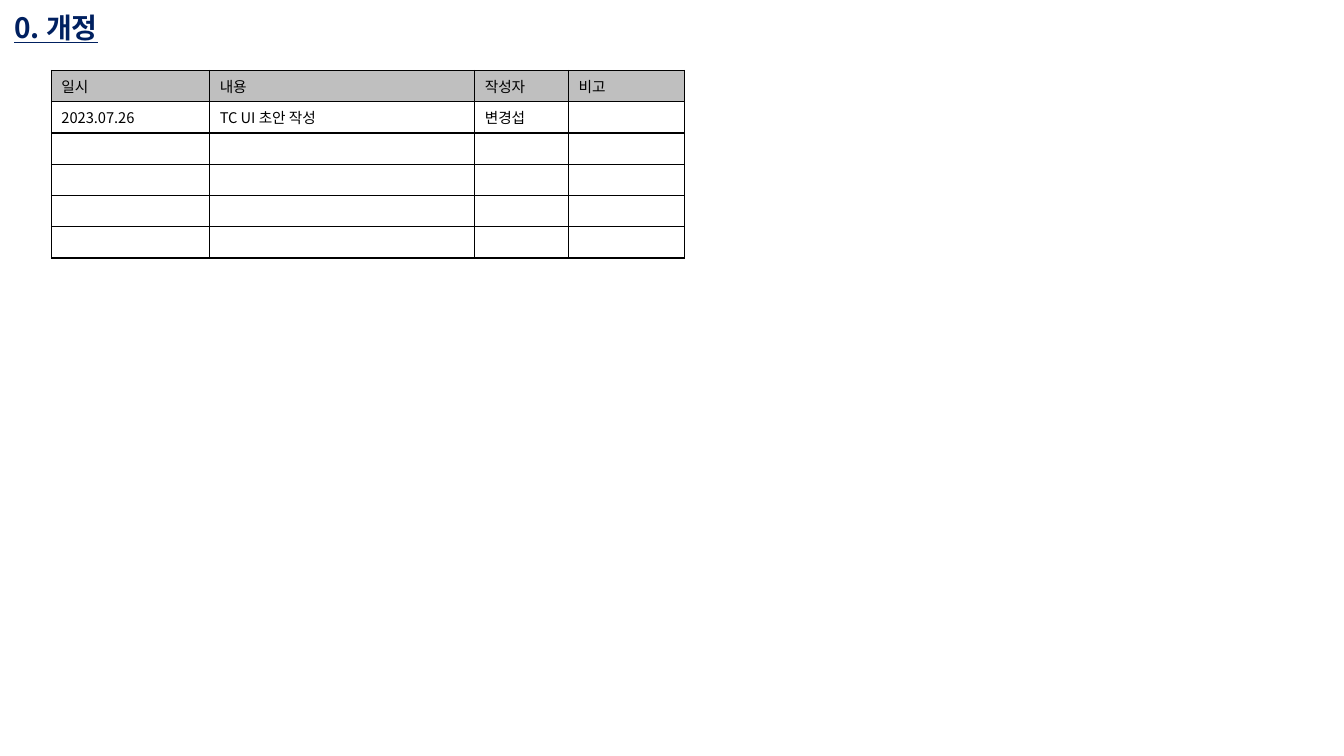
from lxml.etree import SubElement
from pptx import Presentation
from pptx.dml.color import RGBColor
from pptx.enum.text import MSO_ANCHOR, MSO_AUTO_SIZE, PP_ALIGN
from pptx.oxml.ns import qn
from pptx.util import Inches, Pt

FONT = "Noto Sans CJK KR"
COLORS = {"title": "002060", "text": "000000", "border": "000000", "header": "BFBFBF"}
COLUMN_WIDTHS = [1.57, 2.63, 0.93, 1.15]
ROW_COUNT = 6
ROW_HEIGHT = 0.31
BORDER_WIDTH = 1
REVISIONS = [
    ["일시", "내용", "작성자", "비고"],
    ["2023.07.26", "TC UI 초안 작성", "변경섭", ""],
]


def style_paragraph(para, size, color, bold=False, underline=False):
    font = para.font
    font.size = Pt(size)
    font.bold = bold
    font.underline = underline
    font.color.rgb = RGBColor.from_string(COLORS[color])
    font.name = FONT
    defaults = para._p.get_or_add_pPr().find(qn("a:defRPr"))
    SubElement(defaults, qn("a:ea")).set("typeface", FONT)
    if not para.runs:
        # An empty cell takes its line height from the end mark.
        end = SubElement(para._p, qn("a:endParaRPr"))
        end.set("sz", str(int(size * 100)))
        for tag in ("a:latin", "a:ea"):
            SubElement(end, qn(tag)).set("typeface", FONT)


def add_borders(cell):
    properties = cell._tc.get_or_add_tcPr()
    for side in ("a:lnL", "a:lnR", "a:lnT", "a:lnB"):
        line = SubElement(properties, qn(side))
        line.set("w", str(Pt(BORDER_WIDTH)))
        fill = SubElement(line, qn("a:solidFill"))
        SubElement(fill, qn("a:srgbClr")).set("val", COLORS["border"])


def add_title(page, left, top, width, height):
    title = page.shapes.title
    title.left, title.top = Inches(left), Inches(top)
    title.width, title.height = Inches(width), Inches(height)
    frame = title.text_frame
    frame.text = "0. 개정"
    frame.word_wrap = True
    frame.auto_size = MSO_AUTO_SIZE.SHAPE_TO_FIT_TEXT
    frame.vertical_anchor = MSO_ANCHOR.TOP
    para = frame.paragraphs[0]
    para.alignment = PP_ALIGN.LEFT
    style_paragraph(para, 20, "title", bold=True, underline=True)


def add_revision_table(page, left, top):
    table = page.shapes.add_table(
        ROW_COUNT, len(COLUMN_WIDTHS), Inches(left), Inches(top),
        Inches(sum(COLUMN_WIDTHS)), Inches(ROW_COUNT * ROW_HEIGHT),
    ).table
    table.first_row = table.horz_banding = False
    for column, width in zip(table.columns, COLUMN_WIDTHS):
        column.width = Inches(width)
    for row_index, row in enumerate(table.rows):
        row.height = Inches(ROW_HEIGHT)
        for column_index, cell in enumerate(row.cells):
            if row_index < len(REVISIONS):
                cell.text = REVISIONS[row_index][column_index]
            style_paragraph(cell.text_frame.paragraphs[0], 10.5, "text")
            add_borders(cell)
            if row_index == 0:
                cell.fill.solid()
                cell.fill.fore_color.rgb = RGBColor.from_string(COLORS["header"])
            else:
                cell.fill.background()


def main():
    deck = Presentation()
    deck.slide_width, deck.slide_height = Inches(13.33), Inches(7.5)
    page = deck.slides.add_slide(deck.slide_layouts[5])
    add_revision_table(page, 0.51, 0.7)
    add_title(page, 0.04, 0.05, 8.79, 0.44)
    deck.save("out.pptx")


if __name__ == "__main__":
    main()
